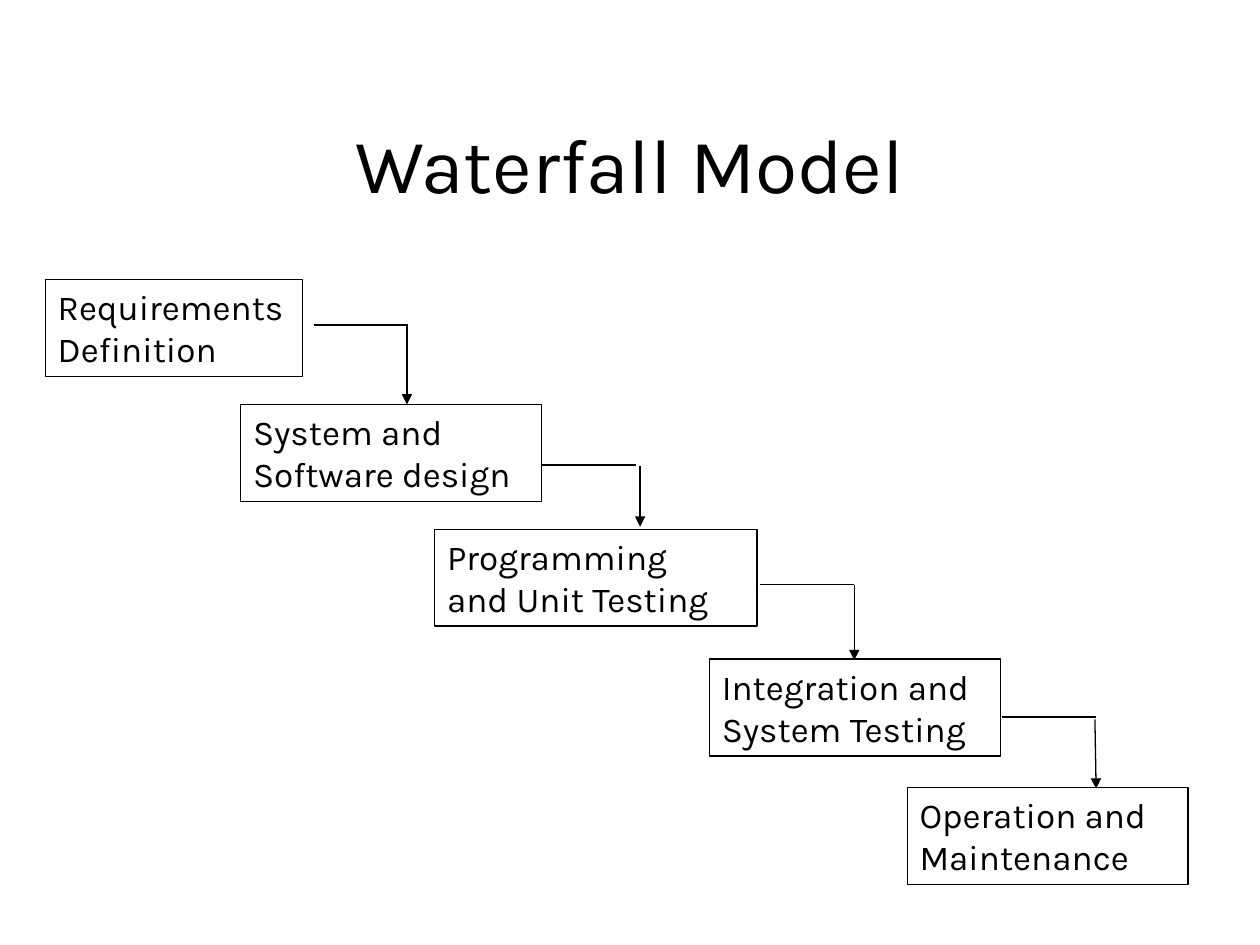
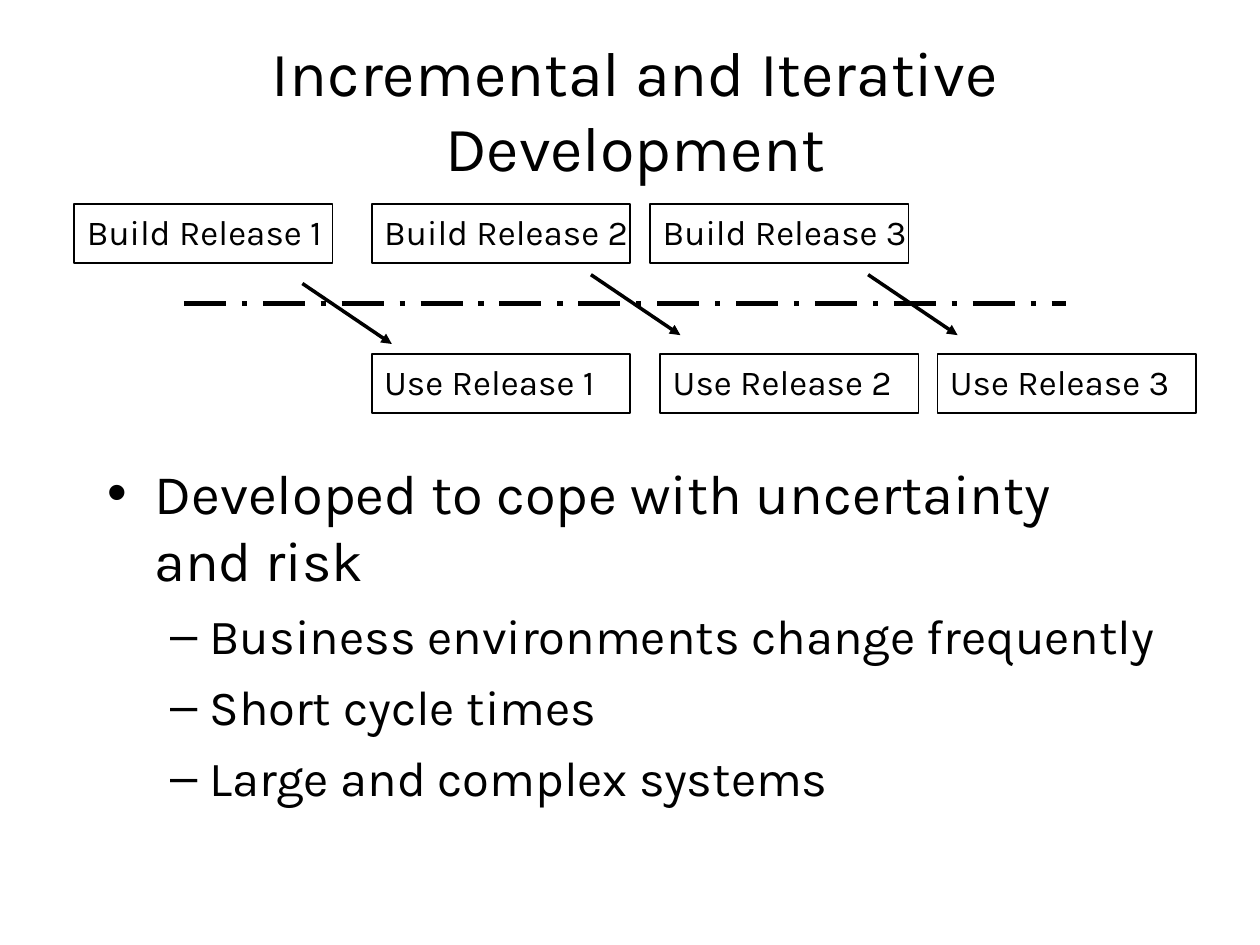
from lxml.etree import SubElement
from pptx import Presentation
from pptx.dml.color import RGBColor
from pptx.enum.dml import MSO_LINE
from pptx.enum.shapes import MSO_CONNECTOR as Connector, MSO_SHAPE as Shape
from pptx.enum.text import MSO_ANCHOR as Anchor, MSO_AUTO_SIZE as AutoSize, PP_ALIGN as Align
from pptx.oxml.ns import qn
from pptx.util import Inches, Pt

FONT = "Karla"
BLACK = "000000"
TITLE_AND_CONTENT, TITLE_ONLY = 1, 5

PHASES = [
    (0.36, 2.22, 2.04, ["Requirements", "Definition"]),
    (1.91, 3.21, 2.39, ["System and", "Software design"]),
    (3.45, 4.2, 2.56, ["Programming", "and Unit Testing"]),
    (5.63, 5.23, 2.31, ["Integration and", "System Testing"]),
    (7.2, 6.25, 2.23, ["Operation and", "Maintenance"]),
]
PHASE_HEIGHT = 0.77
STEP_STARTS = [(2.49, 2.58), (4.3, 3.69), (6.03, 4.64), (7.95, 5.69)]
STEP_WIDTH = 0.75
DROPS = [
    (3.23, 2.58, 3.23, 3.21),
    (5.08, 3.7, 5.08, 4.18),
    (6.78, 4.64, 6.78, 5.24),
    (8.69, 5.71, 8.7, 6.26),
]

RELEASE_ROWS = [
    ("Build", 1.62, [0.59, 2.95, 5.16]),
    ("Use", 2.81, [2.95, 5.24, 7.44]),
]
RELEASE_SIZE = (2.05, 0.47)
HANDOVER_STARTS = [(2.4, 2.25), (4.69, 2.18), (6.89, 2.18)]
HANDOVER_RUN, HANDOVER_FALL = 0.71, 0.48

POINTS = [
    (0, "Developed to cope with uncertainty and risk"),
    (1, "Business environments change frequently"),
    (1, "Short cycle times"),
    (1, "Large and complex systems"),
]
POINT_STYLES = [(32, 8), (28, 7)]


def color(value):
    """Turn a hex string into a colour."""
    return RGBColor.from_string(value)


def add_text(paragraph, text, size):
    """Add one run in the shared font."""
    run = paragraph.add_run()
    run.text = text
    run.font.name = FONT
    run.font.size = Pt(size)
    run.font.color.rgb = color(BLACK)


def place(shape, left, top, width, height):
    """Move and size a placeholder."""
    shape.left, shape.top = Inches(left), Inches(top)
    shape.width, shape.height = Inches(width), Inches(height)
    shape.text_frame.auto_size = AutoSize.NONE


def add_title(slide, text, size, *box):
    """Fill the title placeholder."""
    title = slide.shapes.title
    place(title, *box)
    title.text_frame.vertical_anchor = Anchor.MIDDLE
    paragraph = title.text_frame.paragraphs[0]
    paragraph.alignment = Align.CENTER
    add_text(paragraph, text, size)


def add_points(slide, points, *box):
    """Fill the body placeholder with a two-level list."""
    body = slide.placeholders[1]
    place(body, *box)
    frame = body.text_frame
    for index, (level, text) in enumerate(points):
        paragraph = frame.add_paragraph() if index else frame.paragraphs[0]
        size, gap = POINT_STYLES[level]
        paragraph.level = level
        paragraph.space_before = Pt(gap if index else 0)
        add_text(paragraph, text, size)


def add_box(slide, left, top, width, height, lines, weight):
    """Add an outlined box with left-aligned text."""
    box = slide.shapes.add_shape(
        Shape.RECTANGLE, Inches(left), Inches(top), Inches(width), Inches(height))
    box.shadow.inherit = False
    box.fill.background()
    box.line.color.rgb = color(BLACK)
    box.line.width = Pt(weight)
    frame = box.text_frame
    frame.word_wrap = True
    frame.vertical_anchor = Anchor.TOP
    frame.margin_right = 0
    for index, text in enumerate(lines):
        paragraph = frame.add_paragraph() if index else frame.paragraphs[0]
        paragraph.alignment = Align.LEFT
        add_text(paragraph, text, 20)


def add_line(slide, start_x, start_y, end_x, end_y, weight, arrow=False, dash=None):
    """Add a straight line, with an arrowhead or dashes if wanted."""
    line = slide.shapes.add_connector(
        Connector.STRAIGHT, Inches(start_x), Inches(start_y), Inches(end_x), Inches(end_y))
    line.line.color.rgb = color(BLACK)
    line.line.width = Pt(weight)
    if dash:
        line.line.dash_style = dash
    properties = line._element.spPr
    if arrow:
        SubElement(properties.find(qn("a:ln")), qn("a:tailEnd"), type="triangle")
    SubElement(properties, qn("a:effectLst"))


def add_waterfall_slide(presentation):
    """Build the staircase of phases."""
    slide = presentation.slides.add_slide(presentation.slide_layouts[TITLE_ONLY])
    add_title(slide, "Waterfall Model", 44, 0.75, 0.67, 8.5, 1.25)
    for left, top, width, lines in PHASES:
        add_box(slide, left, top, width, PHASE_HEIGHT, lines, 0.75)
    for left, top in STEP_STARTS:
        add_line(slide, left, top, left + STEP_WIDTH, top, 0.75)
    for drop in DROPS:
        add_line(slide, *drop, 0.75, arrow=True)


def add_incremental_slide(presentation):
    """Build the release diagram and its list."""
    slide = presentation.slides.add_slide(presentation.slide_layouts[TITLE_AND_CONTENT])
    add_title(slide, "Incremental and Iterative Development", 36, 0.59, 0.36, 8.9, 1.01)
    add_points(slide, POINTS, 0.75, 3.59, 8.58, 3.47)
    for verb, top, lefts in RELEASE_ROWS:
        for number, left in enumerate(lefts, start=1):
            add_box(slide, left, top, *RELEASE_SIZE, [f"{verb} Release {number}"], 1)
    add_line(slide, 1.46, 2.41, 8.46, 2.41, 3, dash=MSO_LINE.LONG_DASH_DOT)
    for left, top in HANDOVER_STARTS:
        add_line(slide, left, top, left + HANDOVER_RUN, top + HANDOVER_FALL, 2, arrow=True)


def main():
    """Build and save the presentation."""
    presentation = Presentation()
    presentation.slide_width = Inches(10)
    presentation.slide_height = Inches(7.5)
    add_waterfall_slide(presentation)
    add_incremental_slide(presentation)
    presentation.save("out.pptx")


if __name__ == "__main__":
    main()
